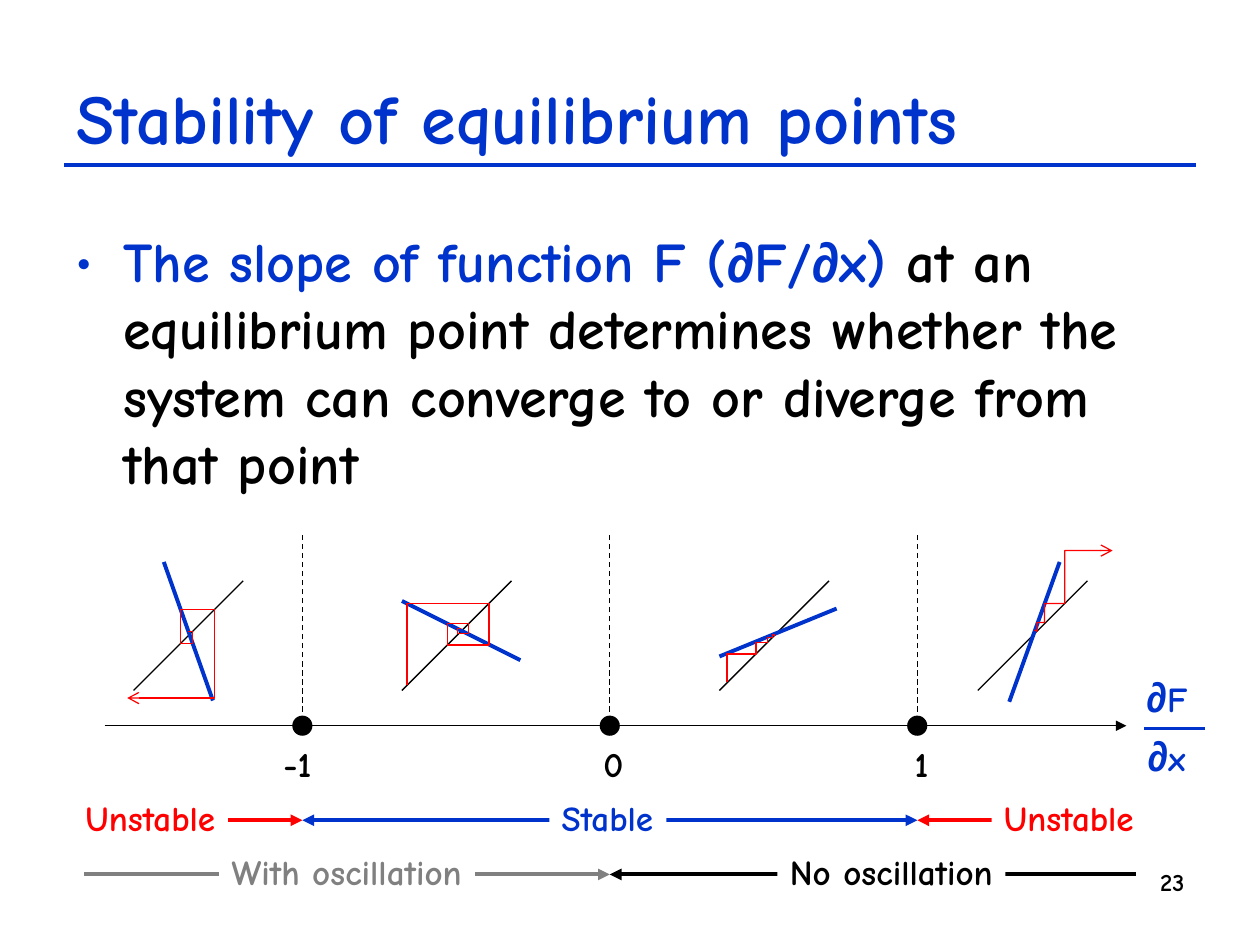
"""Build a slide on how the slope at an equilibrium point sets its stability."""
from dataclasses import dataclass
from typing import NamedTuple

from lxml.etree import SubElement
from pptx import Presentation
from pptx.dml.color import RGBColor
from pptx.enum.dml import MSO_LINE
from pptx.enum.shapes import MSO_CONNECTOR, MSO_SHAPE
from pptx.enum.text import MSO_ANCHOR, PP_ALIGN
from pptx.oxml.ns import qn
from pptx.util import Inches, Pt


@dataclass(frozen=True)
class Theme:
    blue: str = "0033CC"
    red: str = "FF0000"
    black: str = "000000"
    gray: str = "808080"
    white: str = "FFFFFF"
    font: str = "Comic Neue"
    math: str = "Arial"
    title: int = 40
    body: int = 32
    sign: int = 24
    label: int = 20
    page: int = 14
    thin: float = 0.75
    rule: float = 1.5
    thick: float = 2.25


T = Theme()


class Run(NamedTuple):
    text: str
    size: int
    color: str = T.black
    font: str = T.font


class Line(NamedTuple):
    start: tuple
    end: tuple
    color: str = T.black
    width: float = T.thin
    head: str = ""
    tail: str = ""
    dash: bool = False


class Label(NamedTuple):
    box: tuple
    runs: list
    wrap: bool = False
    fill: str = ""
    align: PP_ALIGN = PP_ALIGN.LEFT
    anchor: MSO_ANCHOR = MSO_ANCHOR.TOP
    bullet: str = ""


class Graph(NamedTuple):
    left: float
    slope: tuple
    web: list
    tail: str = ""


def rgb(code: str) -> RGBColor:
    return RGBColor.from_string(code)


def stroke(shape, color: str, width: float, head: str = "", tail: str = "") -> None:
    shape.line.color.rgb = rgb(color)
    shape.line.width = Pt(width)
    ln = shape.line._get_or_add_ln()
    for tag, kind in (("a:headEnd", head), ("a:tailEnd", tail)):
        if kind:
            SubElement(ln, qn(tag), type=kind)


def draw_line(slide, item: Line) -> None:
    ends = [Inches(v) for v in (*item.start, *item.end)]
    shape = slide.shapes.add_connector(MSO_CONNECTOR.STRAIGHT, *ends)
    if item.dash:
        shape.line.dash_style = MSO_LINE.DASH
    stroke(shape, item.color, item.width, item.head, item.tail)
    SubElement(shape._element.spPr, qn("a:effectLst"))


def draw_label(slide, item: Label) -> None:
    shape = slide.shapes.add_textbox(*map(Inches, item.box))
    if item.fill:
        shape.fill.solid()
        shape.fill.fore_color.rgb = rgb(item.fill)
    frame = shape.text_frame
    form = {"word_wrap": item.wrap, "vertical_anchor": item.anchor}
    for name, value in form.items():
        setattr(frame, name, value)
    para = frame.paragraphs[0]
    para.alignment = item.align
    if item.bullet:
        props = para._p.get_or_add_pPr()
        props.set("marL", str(Inches(0.38)))
        props.set("indent", str(Inches(-0.38)))
        SubElement(SubElement(props, qn("a:buClr")), qn("a:srgbClr"), val=item.bullet)
        SubElement(props, qn("a:buFont"), typeface=T.font)
        SubElement(props, qn("a:buChar"), char="•")
    for part in item.runs:
        run = para.add_run()
        run.text = part.text
        form = {"name": part.font, "size": Pt(part.size), "bold": True}
        for name, value in form.items():
            setattr(run.font, name, value)
        run.font.color.rgb = rgb(part.color)


def draw_dot(slide, x: float, y: float) -> None:
    side = Inches(0.16)
    dot = slide.shapes.add_shape(
        MSO_SHAPE.OVAL, Inches(x - 0.08), Inches(y - 0.08), side, side)
    dot.shadow.inherit = False
    dot.fill.solid()
    dot.fill.fore_color.rgb = rgb(T.black)
    dot.line.fill.background()


def draw_graph(slide, item: Graph) -> None:
    draw_line(slide, Line((item.left, 5.48), (item.left + 0.87, 4.61)))
    draw_line(slide, Line(*item.slope, T.blue, T.thick))
    first, *rest = [(Inches(x), Inches(y)) for x, y in item.web]
    pen = slide.shapes.build_freeform(*first)
    pen.add_line_segments(rest, close=False)
    shape = pen.convert_to_shape()
    shape.shadow.inherit = False
    shape.fill.background()
    stroke(shape, T.red, T.thin, tail=item.tail)


MARKS = [("-1", 2.4, 2.15, 0.42), ("0", 4.84, 4.69, 0.36), ("1", 7.28, 7.16, 0.31)]
GRAPHS = [
    Graph(1.06, ((1.3, 4.46), (1.69, 5.56)),
          [(1.49, 5.01), (1.53, 5.01), (1.53, 5.11), (1.43, 5.11), (1.43, 4.84),
           (1.7, 4.84), (1.7, 5.54), (1.01, 5.54)], "arrow"),
    Graph(3.19, ((3.19, 4.77), (4.13, 5.24)),
          [(3.23, 5.44), (3.23, 4.79), (3.88, 4.79), (3.88, 5.12), (3.55, 5.12),
           (3.55, 4.95), (3.72, 4.95), (3.72, 5.03), (3.63, 5.03), (3.63, 4.99),
           (3.66, 4.99)]),
    Graph(5.71, ((5.71, 5.21), (6.64, 4.83)),
          [(5.77, 5.41), (5.77, 5.19), (6, 5.19), (6, 5.1), (6.09, 5.1),
           (6.09, 5.06), (6.13, 5.06), (6.13, 5.04), (6.15, 5.04)]),
    Graph(7.76, ((8.41, 4.46), (8.01, 5.57)),
          [(8.21, 5), (8.23, 5.01), (8.23, 4.94), (8.29, 4.94), (8.29, 4.79),
           (8.45, 4.79), (8.45, 4.37), (8.83, 4.37)], "arrow"),
]
TIP = "triangle"
SPANS = [
    ("Stable", T.blue, 6.51, 2.4, 7.28, TIP, TIP, 4.36, 0.93),
    ("Unstable", T.red, 6.51, 0.83, 2.4, "", TIP, 0.58, 1.23),
    ("Unstable", T.red, 6.51, 8.86, 7.28, "", TIP, 7.87, 1.23),
    ("No oscillation", T.black, 6.94, 4.84, 9.02, TIP, "", 6.17, 1.81),
    ("With oscillation", T.gray, 6.94, 0.67, 4.84, "", TIP, 1.74, 2.03),
]
BODY = [
    Run("The slope of function F (", T.body, T.blue),
    Run("∂", T.body, T.blue, T.math),
    Run("F/", T.body, T.blue),
    Run("∂", T.body, T.blue, T.math),
    Run("x)", T.body, T.blue),
    Run(" at an equilibrium point determines whether the system can converge "
        "to or diverge from that point", T.body),
]


def main() -> None:
    deck = Presentation()
    deck.slide_width, deck.slide_height = Inches(10), Inches(7.5)
    slide = deck.slides.add_slide(deck.slide_layouts[6])
    draw_line(slide, Line((0.51, 1.31), (9.49, 1.31), T.blue, T.thick))
    draw_label(slide, Label((8.54, 6.83, 0.96, 0.52), [Run("23", T.page)],
                            wrap=True, align=PP_ALIGN.RIGHT))
    draw_label(slide, Label((0.51, 0.3, 8.99, 1.25),
                            [Run("Stability of equilibrium points", T.title, T.blue)],
                            wrap=True, anchor=MSO_ANCHOR.MIDDLE))
    draw_label(slide, Label((0.5, 1.75, 9, 4.95), BODY, wrap=True, bullet=T.blue))
    draw_line(slide, Line((0.83, 5.76), (8.94, 5.76), tail=TIP))
    for name, box in (("F", (9, 5.27, 0.54, 0.5)), ("x", (9.01, 5.74, 0.51, 0.5))):
        draw_label(slide, Label(box, [Run("∂", T.sign, T.blue, T.math),
                                      Run(name, T.label, T.blue)]))
    draw_line(slide, Line((9.56, 5.78), (9.08, 5.78), T.blue, T.rule))
    for text, x, left, width in MARKS:
        draw_dot(slide, x, 5.76)
        draw_label(slide, Label((left, 5.84, width, 0.44), [Run(text, T.label)]))
        draw_line(slide, Line((x, 5.72), (x, 4.22), dash=True))
    for graph in GRAPHS:
        draw_graph(slide, graph)
    for text, color, y, start, end, head, tail, left, width in SPANS:
        draw_line(slide, Line((start, y), (end, y), color, T.thick, head, tail))
        draw_label(slide, Label((left, y - 0.24, width, 0.44),
                                [Run(text, T.label, color)], fill=T.white))
    deck.save("out.pptx")


if __name__ == "__main__":
    main()
